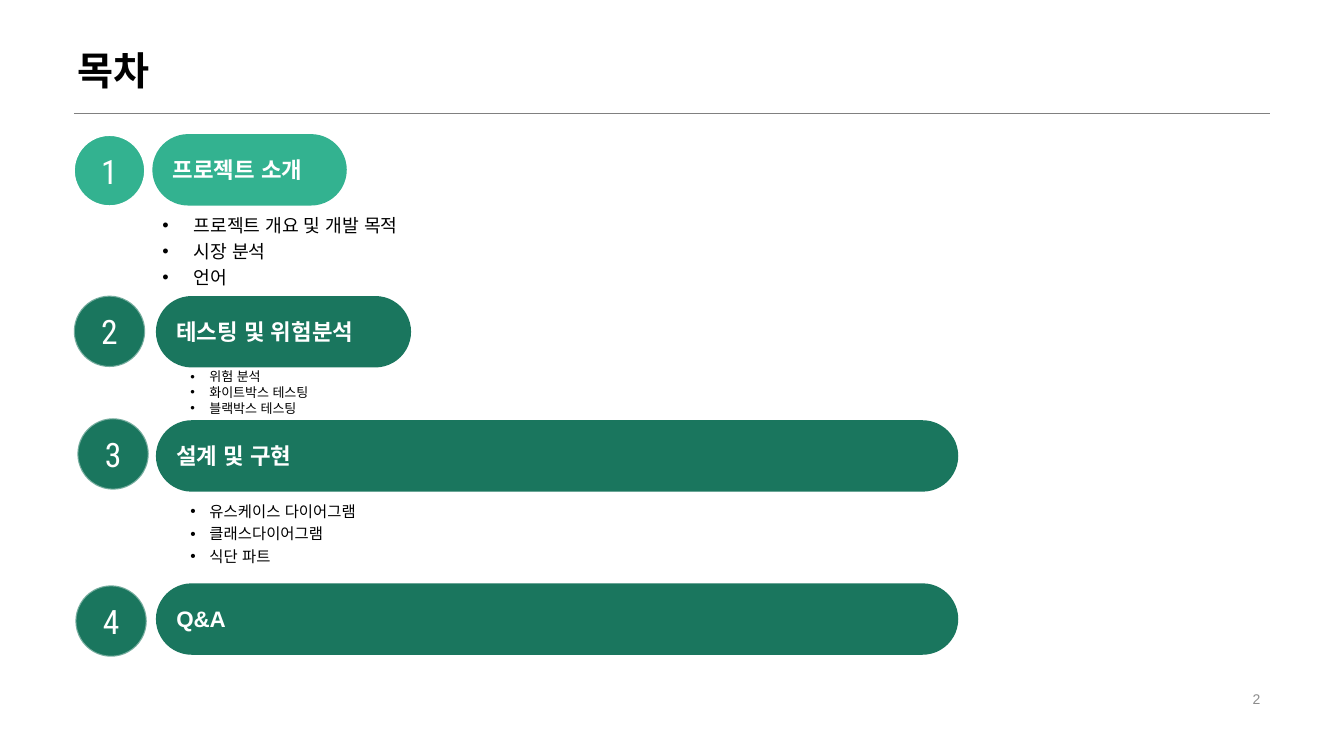
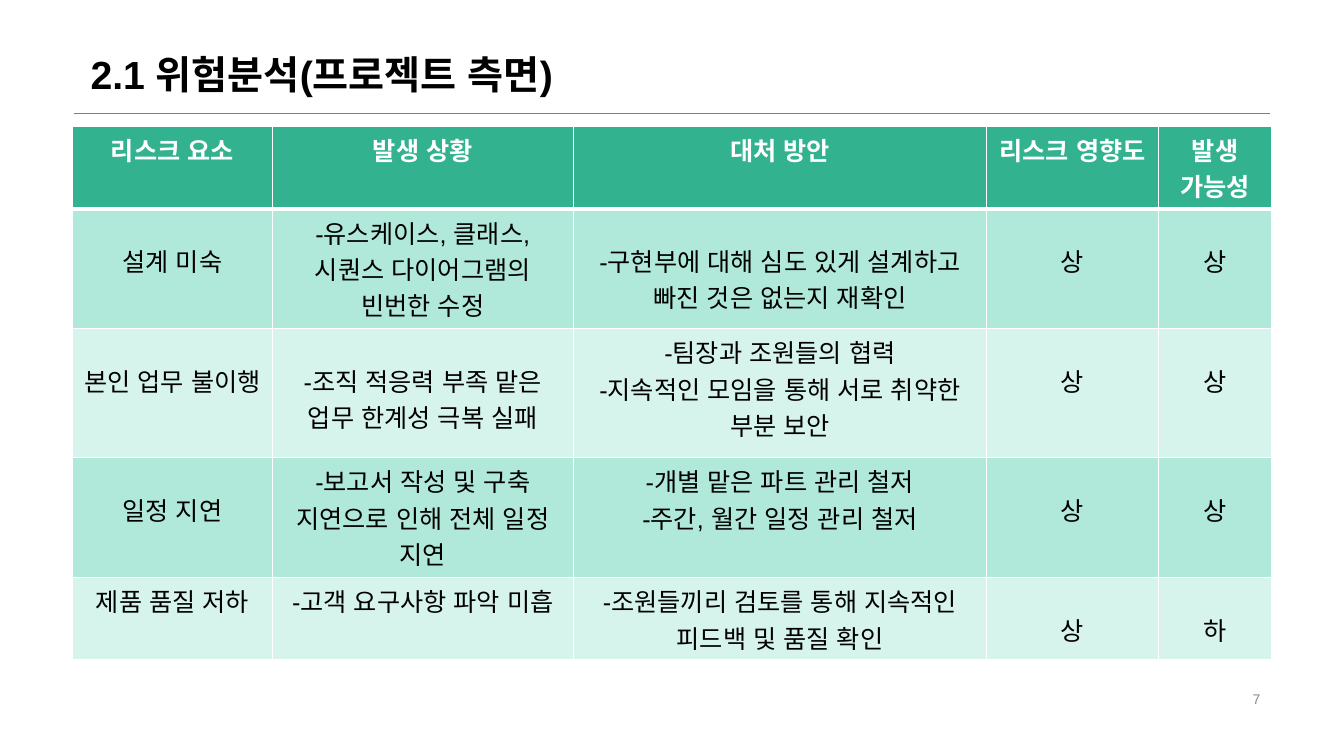
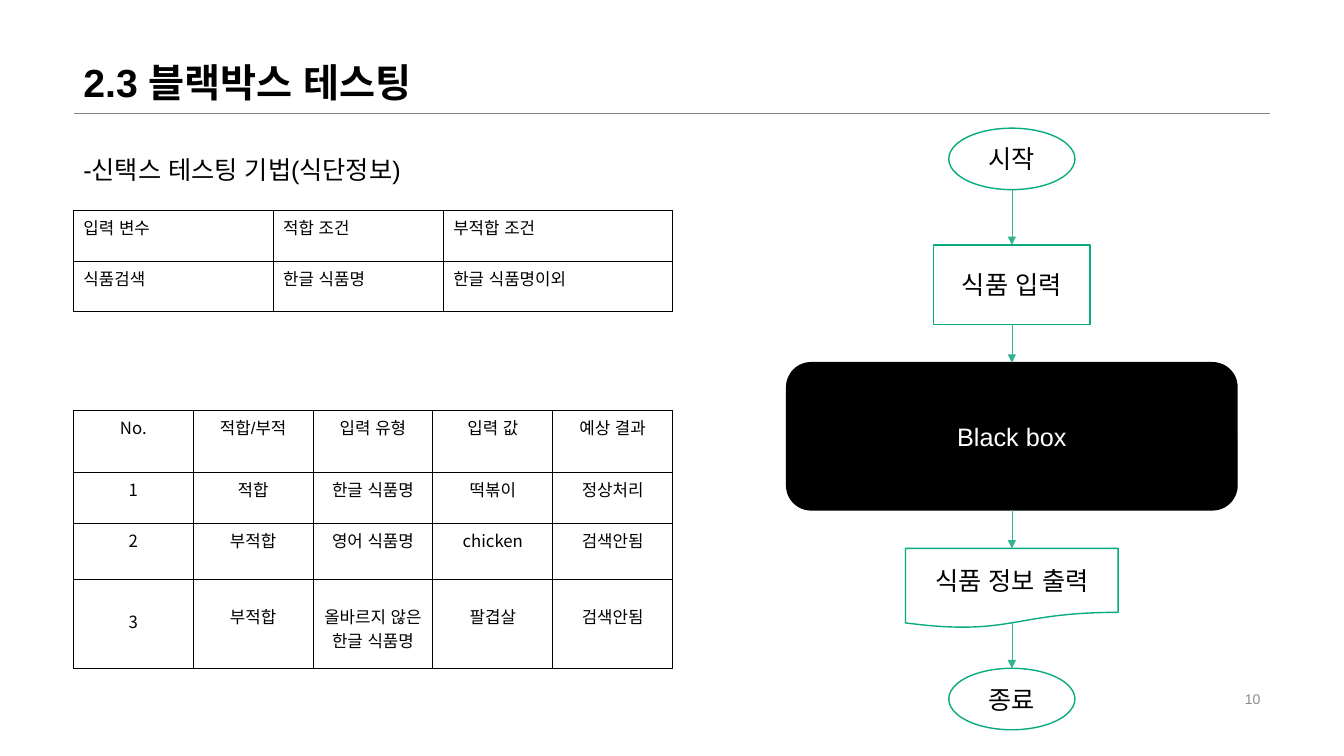
from lxml.etree import SubElement
from pptx import Presentation
from pptx.dml.color import RGBColor
from pptx.enum.lang import MSO_LANGUAGE_ID as Language
from pptx.enum.shapes import MSO_CONNECTOR as Connector, MSO_SHAPE as Shape
from pptx.enum.text import MSO_ANCHOR as Anchor, MSO_AUTO_SIZE as AutoSize, PP_ALIGN as Align
from pptx.oxml.ns import qn
from pptx.util import Cm, Pt

rgb = RGBColor.from_string
BLACK, WHITE, GREY, PAGE_GREY = "000000", "FFFFFF", "808080", "8C8C8C"
MINT, DARK_GREEN, OUTLINE_GREEN = "33B290", "1A765E", "08AA7F"
BAND_DARK, BAND_LIGHT = "B0E8D9", "D7F4EC"
LATIN, KOREAN, NUMERAL = "Arial", "Noto Sans CJK KR", "Roboto Condensed"


def write(frame, text, size, color=BLACK, bold=False, align=Align.LEFT, font=LATIN, spacing=1.0):
    frame.text = text
    for paragraph in frame.paragraphs:
        paragraph.alignment = align
        paragraph.line_spacing = spacing
        for run in paragraph.runs:
            run.font.size = Pt(size)
            run.font.bold = bold
            run.font.name = font
            run.font.color.rgb = rgb(color)
            run.font.language_id = Language.KOREAN
            SubElement(run._r.get_or_add_rPr(), qn("a:ea"), typeface=KOREAN)


def add_grid(slide, left, top, widths, heights, fills, border, weight, header_weight):
    frame = slide.shapes.add_table(len(heights), len(widths), Cm(left), Cm(top),
                                   Cm(sum(widths)), Cm(sum(heights)))
    table = frame.table
    table.first_row = table.horz_banding = False
    for column, width in zip(table.columns, widths):
        column.width = Cm(width)
    for r, height in enumerate(heights):
        table.rows[r].height = Cm(height)
        above = header_weight if r == 1 else weight
        below = header_weight if r == 0 else weight
        for cell in table.rows[r].cells:
            cell.fill.solid()
            cell.fill.fore_color.rgb = rgb(fills[r])
            properties = cell._tc.get_or_add_tcPr()
            edges = (("a:lnL", weight), ("a:lnR", weight), ("a:lnT", above), ("a:lnB", below))
            for position, (tag, points) in enumerate(edges):
                edge = SubElement(properties, qn(tag), w=str(Pt(points)))
                SubElement(SubElement(edge, qn("a:solidFill")), qn("a:srgbClr"), val=border)
                properties.insert(position, edge)
    return table


deck = Presentation()
deck.slide_width, deck.slide_height = Cm(33.87), Cm(19.05)
title_only = deck.slide_layouts[5]

headings = [
    ("목차", "2", 1.7, 1.02, 2.84, 1.47),
    ("2.1 위험분석(프로젝트 측면)", "7", 2.03, 1.09, 13.94, 1.5),
    ("2.3 블랙박스 테스팅", "10", 1.85, 1.17, 9.68, 1.63),
]
slides = []
for heading, page, left, top, width, height in headings:
    slide = deck.slides.add_slide(title_only)
    slides.append(slide)
    title = slide.shapes.title
    title.left, title.top, title.width, title.height = Cm(left), Cm(top), Cm(width), Cm(height)
    write(title.text_frame, heading, 28, bold=True, spacing=0.9)
    title.text_frame.vertical_anchor = Anchor.BOTTOM
    title.text_frame.auto_size = AutoSize.NONE
    title.text_frame.word_wrap = True
    page_number = slide.shapes.add_textbox(Cm(23.93), Cm(17.32), Cm(8.08), Cm(0.58))
    write(page_number.text_frame, page, 10, PAGE_GREY, align=Align.RIGHT)
    page_number.text_frame.vertical_anchor = Anchor.MIDDLE
    page_number.text_frame.word_wrap = True
contents, risks, black_box = slides

title_rule = contents.shapes.add_connector(Connector.STRAIGHT, Cm(1.86), Cm(2.86), Cm(32), Cm(2.86))
title_rule.line.color.rgb = rgb(GREY)
title_rule.line.width = Pt(0.25)
SubElement(title_rule.element.spPr, qn("a:effectLst"))
title_only.element.cSld.spTree.append(title_rule.element)

BADGE = 1.8
FULL_WIDTH = 20.22
chapters = [
    ("프로젝트 소개", MINT, 1.86, 3.4, 3.84, 3.38, 4.9),
    ("테스팅 및 위험분석", DARK_GREEN, 1.86, 7.45, 3.93, 7.46, 6.43),
    ("설계 및 구현", DARK_GREEN, 1.95, 10.54, 3.93, 10.59, FULL_WIDTH),
    ("Q&A", DARK_GREEN, 1.9, 14.75, 3.93, 14.7, FULL_WIDTH),
]
for number, (chapter, color, badge_left, badge_top, bar_left, bar_top, bar_width) in enumerate(chapters, 1):
    badge = contents.shapes.add_shape(Shape.OVAL, Cm(badge_left), Cm(badge_top), Cm(BADGE), Cm(BADGE))
    bar = contents.shapes.add_shape(Shape.ROUNDED_RECTANGLE, Cm(bar_left), Cm(bar_top), Cm(bar_width), Cm(BADGE))
    bar.adjustments[0] = 0.5
    for part in (badge, bar):
        part.shadow.inherit = False
        part.fill.solid()
        part.fill.fore_color.rgb = rgb(color)
        part.text_frame.vertical_anchor = Anchor.MIDDLE
        part.text_frame.word_wrap = True
    bar.line.fill.background()
    badge.line.color.rgb = rgb(WHITE)
    badge.line.width = Pt(1.5)
    if color == DARK_GREEN:
        outline_color = badge.element.spPr.find(qn("a:ln")).find(".//" + qn("a:srgbClr"))
        SubElement(outline_color, qn("a:alpha"), val="40000")
    write(badge.text_frame, str(number), 24, WHITE, align=Align.CENTER, font=NUMERAL)
    write(bar.text_frame, chapter, 16, WHITE, bold=True)

topics = [
    ("프로젝트 개요 및 개발 목적\n시장 분석\n언어", 3.84, 5.16, 2.21, 13, 0.79, 1.2),
    ("위험 분석\n화이트박스 테스팅\n블랙박스 테스팅", 4.55, 9.17, 1.42, 9.3, 0.48, 1.0),
    ("유스케이스 다이어그램\n클래스다이어그램\n식단 파트", 4.55, 12.44, 1.96, 11, 0.48, 1.2),
]
for lines, left, top, height, size, indent, spacing in topics:
    topic_list = contents.shapes.add_textbox(Cm(left), Cm(top), Cm(FULL_WIDTH), Cm(height)).text_frame
    topic_list.word_wrap = True
    write(topic_list, lines, size, spacing=spacing)
    for paragraph in topic_list.paragraphs:
        properties = paragraph._p.get_or_add_pPr()
        properties.set("marL", str(Cm(indent)))
        properties.set("indent", str(-Cm(indent)))
        SubElement(properties, qn("a:buFont"), typeface=LATIN)
        SubElement(properties, qn("a:buChar"), char="•")

risk_rows = [
    (["리스크 요소", "발생 상황", "대처 방안", "리스크 영향도", "발생 가능성"], ()),
    (["설계 미숙", "-유스케이스, 클래스, 시퀀스 다이어그램의 빈번한 수정",
      "-구현부에 대해 심도 있게 설계하고 빠진 것은 없는지 재확인", "상", "상"], (0, 2, 3, 4)),
    (["본인 업무 불이행", "-조직 적응력 부족 맡은 업무 한계성 극복 실패",
      "-팀장과 조원들의 협력\n-지속적인 모임을 통해 서로 취약한 부분 보안", "상", "상"], (0, 1, 3, 4)),
    (["일정 지연", "-보고서 작성 및 구축 지연으로 인해 전체 일정 지연",
      "-개별 맡은 파트 관리 철저\n-주간, 월간 일정 관리 철저", "상", "상"], (0, 3, 4)),
    (["제품 품질 저하", "-고객 요구사항 파악 미흡",
      "-조원들끼리 검토를 통해 지속적인 피드백 및 품질 확인", "상", "하"], (3, 4)),
]
risk_table = add_grid(risks, 1.83, 3.18, [5.03, 7.59, 10.41, 4.34, 2.84], [2.08, 3.02, 3.25, 3.02, 2.08],
                      [MINT, BAND_DARK, BAND_LIGHT, BAND_DARK, BAND_LIGHT], WHITE, 1, 3)
for r, (texts, lowered) in enumerate(risk_rows):
    for c, text in enumerate(texts):
        cell = risk_table.cell(r, c)
        write(cell.text_frame, text, 18, BLACK if r else WHITE, bold=r == 0, align=Align.CENTER)
        if c in lowered:
            cell.margin_top = Cm(0.84)

technique = black_box.shapes.add_textbox(Cm(1.85), Cm(3.76), Cm(9.35), Cm(1.02)).text_frame
technique.word_wrap = True
write(technique, "-신택스 테스팅 기법(식단정보)", 18)

conditions = [["입력 변수", "적합 조건", "부적합 조건"], ["식품검색", "한글 식품명", "한글 식품명이외"]]
cases = [
    ["No.", "적합/부적", "입력 유형", "입력 값", "예상 결과"],
    ["1", "적합", "한글 식품명", "떡볶이", "정상처리"],
    ["2", "부적합", "영어 식품명", "chicken", "검색안됨"],
    ["3", "부적합", "올바르지 않은 한글 식품명", "팔겹살", "검색안됨"],
]
test_tables = [
    (conditions, 5.3, [5.03, 4.29, 5.77], [1.28, 1.28], Align.LEFT),
    (cases, 10.34, [3.02] * 5, [1.56, 1.28, 1.42, 2.24], Align.CENTER),
]
for rows, top, widths, heights, align in test_tables:
    test_table = add_grid(black_box, 1.85, top, widths, heights, [WHITE] * len(rows), BLACK, 0.75, 0.75)
    for r, texts in enumerate(rows):
        for c, text in enumerate(texts):
            cell = test_table.cell(r, c)
            write(cell.text_frame, text, 12, align=align, font=KOREAN if text.isascii() else LATIN)
            if r == 3:
                cell.margin_top = Cm(0.74 if text.isascii() else 0.62)

FLOW_CENTER = 25.5
steps = [
    ("시작", Shape.OVAL, 3.23, 3.18, 1.55),
    ("식품 입력", Shape.RECTANGLE, 6.17, 3.94, 2.01),
    ("Black box", Shape.ROUNDED_RECTANGLE, 9.14, 11.35, 3.71),
    ("식품 정보 출력", Shape.FLOWCHART_DOCUMENT, 13.82, 5.36, 2.01),
    ("종료", Shape.OVAL, 16.84, 3.18, 1.55),
]
previous = None
for label, kind, top, width, height in steps:
    step = black_box.shapes.add_shape(kind, Cm(FLOW_CENTER - width / 2), Cm(top), Cm(width), Cm(height))
    opaque = kind == Shape.ROUNDED_RECTANGLE
    step.shadow.inherit = False
    step.fill.solid()
    step.fill.fore_color.rgb = rgb(BLACK if opaque else WHITE)
    step.line.color.rgb = rgb(BLACK if opaque else OUTLINE_GREEN)
    step.line.width = Pt(1)
    step.text_frame.vertical_anchor = Anchor.MIDDLE
    step.text_frame.word_wrap = True
    write(step.text_frame, label, 18, WHITE if opaque else BLACK, align=Align.CENTER)
    if previous:
        arrow = black_box.shapes.add_connector(Connector.STRAIGHT, Cm(FLOW_CENTER), Cm(exit_y),
                                               Cm(FLOW_CENTER), Cm(top))
        if previous.auto_shape_type in (Shape.RECTANGLE, Shape.ROUNDED_RECTANGLE):
            arrow.begin_connect(previous, 2)
        arrow.end_connect(step, 0)
        arrow.line.color.rgb = rgb(MINT)
        arrow.line.width = Pt(0.5)
        SubElement(arrow.line._get_or_add_ln(), qn("a:tailEnd"), type="triangle")
        SubElement(arrow.element.spPr, qn("a:effectLst"))
    previous = step
    exit_y = top + height * (0.93 if kind == Shape.FLOWCHART_DOCUMENT else 1)

deck.save("out.pptx")
